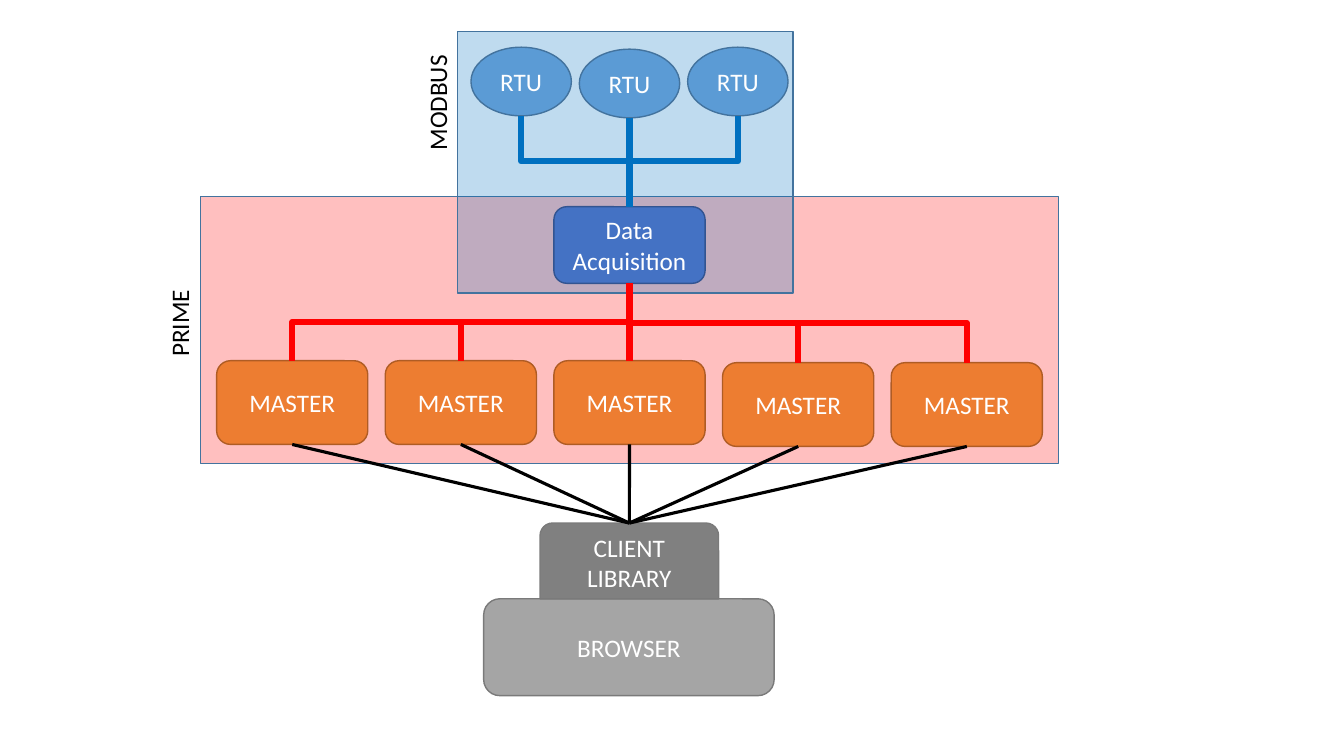
from lxml.etree import SubElement
from pptx import Presentation
from pptx.dml.color import RGBColor
from pptx.enum.shapes import MSO_CONNECTOR, MSO_SHAPE
from pptx.enum.text import MSO_ANCHOR, PP_ALIGN
from pptx.oxml.ns import qn
from pptx.util import Cm, Pt

WHITE = RGBColor(0xFF, 0xFF, 0xFF)
BLACK = RGBColor(0, 0, 0)
RED = RGBColor(0xFF, 0, 0)
BLUE = RGBColor(0, 0x70, 0xC0)
SKY = RGBColor(0x5B, 0x9B, 0xD5)
SKY_EDGE = RGBColor(0x43, 0x73, 0x9E)
ROYAL = RGBColor(0x44, 0x72, 0xC4)
ROYAL_EDGE = RGBColor(0x32, 0x54, 0x91)
ORANGE = RGBColor(0xED, 0x7D, 0x31)
ORANGE_EDGE = RGBColor(0xAF, 0x5C, 0x24)
GREY = RGBColor(0xA5, 0xA5, 0xA5)
DARK_GREY = RGBColor(0x80, 0x80, 0x80)
GREY_EDGE = RGBColor(0x7A, 0x7A, 0x7A)

# Content; places and sizes are centimetres: left, top, width, height
ZONES = [
    ("PRIME", (5.05, 4.95, 21.62, 6.73), RED, (2.72, 6.93, 3.6, 1.02)),
    ("MODBUS", (11.53, 0.79, 8.46, 6.6), BLUE, (9.22, 1.73, 3.6, 1.02)),
]
BROWSER = ("BROWSER", (12.19, 15.09, 7.32, 2.44))
CLIENT = ("CLIENT LIBRARY", (13.61, 13.18, 4.5, 1.91))
ACQUISITION = ("Data Acquisition", (13.96, 5.21, 3.81, 1.93))
MASTER_TOPS = [9.09, 9.09, 9.09, 9.14, 9.14]
MASTER_LEFT, MASTER_PITCH, MASTER_SIZE = 5.46, 4.25, (3.81, 2.11)
RTU_TOPS = [1.19, 1.24, 1.19]
RTU_LEFT, RTU_PITCH, RTU_SIZE = 11.87, 2.73, (2.53, 1.73)

# Connection site numbers of each preset outline
ROUND_TOP, ROUND_BOTTOM, ELLIPSE_BOTTOM, CLIENT_TOP = 0, 2, 4, 3

prs = Presentation()
prs.slide_width, prs.slide_height = Cm(33.87), Cm(19.05)
slide = prs.slides.add_slide(prs.slide_layouts[6])
shapes = slide.shapes


def write(frame, text, color, align):
    """Put one formatted paragraph into a text frame."""
    paragraph = frame.paragraphs[0]
    paragraph.alignment = align
    run = paragraph.add_run()
    run.text = text
    for key, value in {"name": "Calibri", "size": Pt(18)}.items():
        setattr(run.font, key, value)
    run.font.color.rgb = color


def add_block(preset, box, fill, edge, text=None):
    """Add a filled, outlined shape with optional centred white text."""
    block = shapes.add_shape(preset, *map(Cm, box))
    block.shadow.inherit = False
    block.fill.solid()
    block.fill.fore_color.rgb = fill
    block.line.color.rgb = edge
    block.line.width = Pt(1)
    if text:
        block.text_frame.word_wrap = True
        block.text_frame.vertical_anchor = MSO_ANCHOR.MIDDLE
        write(block.text_frame, text, WHITE, PP_ALIGN.CENTER)
    return block


def add_row(text, preset, left, pitch, size, tops, fill, edge):
    """Add equally spaced blocks, one for each given top."""
    return [add_block(preset, (left + i * pitch, top, *size), fill, edge, text)
            for i, top in enumerate(tops)]


def add_zone(box, color):
    """Add a quarter-opaque background area."""
    zone = add_block(MSO_SHAPE.RECTANGLE, box, color, SKY_EDGE)
    tint = zone.fill._xPr.find(qn("a:solidFill"))[0]
    SubElement(tint, qn("a:alpha"), val="25000")


def add_label(text, box):
    """Add a zone name that reads upwards."""
    label = shapes.add_textbox(*map(Cm, box))
    label.rotation = 270
    label.text_frame.word_wrap = True
    write(label.text_frame, text, BLACK, PP_ALIGN.LEFT)


def turn_upright(link, x1, y1, x2, y2):
    """Turn an elbow so that it leaves and arrives vertically."""
    run, drop = abs(x2 - x1), y2 - y1
    link.left, link.top = (x1 + x2 - drop) // 2, (y1 + y2 - run) // 2
    link.width, link.height = drop, run
    xfrm = link._element.spPr.find(qn("a:xfrm"))
    for flip in ("flipH", "flipV"):
        xfrm.attrib.pop(flip, None)
    rightward = x2 > x1
    xfrm.set("rot", str((270 if rightward else 90) * 60000))
    if rightward:
        xfrm.set("flipH", "1")


def add_link(kind, upper, upper_site, lower, lower_site, color, width):
    """Join the bottom of one block to the top of a lower one."""
    ends = (upper.left + upper.width // 2, upper.top + upper.height,
            lower.left + lower.width // 2, lower.top)
    link = shapes.add_connector(kind, *ends)
    if kind == MSO_CONNECTOR.ELBOW:
        turn_upright(link, *ends)
    link.line.color.rgb = color
    link.line.width = Pt(width)
    SubElement(link._element.spPr, qn("a:effectLst"))
    joints = link._element.find(qn("p:nvCxnSpPr")).find(qn("p:cNvCxnSpPr"))
    for tag, block, site in (("a:stCxn", upper, upper_site),
                             ("a:endCxn", lower, lower_site)):
        SubElement(joints, qn(tag), id=str(block.shape_id), idx=str(site))


for name, box, color, label_box in ZONES:
    add_zone(box, color)
for name, box, color, label_box in ZONES:
    add_label(name, label_box)

add_block(MSO_SHAPE.ROUNDED_RECTANGLE, BROWSER[1], GREY, GREY_EDGE, BROWSER[0])
client = add_block(MSO_SHAPE.ROUND_2_SAME_RECTANGLE, CLIENT[1],
                   DARK_GREY, GREY_EDGE, CLIENT[0])
masters = add_row("MASTER", MSO_SHAPE.ROUNDED_RECTANGLE, MASTER_LEFT,
                  MASTER_PITCH, MASTER_SIZE, MASTER_TOPS, ORANGE, ORANGE_EDGE)
acquisition = add_block(MSO_SHAPE.ROUNDED_RECTANGLE, ACQUISITION[1],
                        ROYAL, ROYAL_EDGE, ACQUISITION[0])
rtus = add_row("RTU", MSO_SHAPE.OVAL, RTU_LEFT, RTU_PITCH, RTU_SIZE,
               RTU_TOPS, SKY, SKY_EDGE)

for master in masters:
    add_link(MSO_CONNECTOR.ELBOW, acquisition, ROUND_BOTTOM,
             master, ROUND_TOP, RED, 4.5)
for rtu in rtus:
    add_link(MSO_CONNECTOR.ELBOW, rtu, ELLIPSE_BOTTOM,
             acquisition, ROUND_TOP, BLUE, 4.5)
for master in masters:
    add_link(MSO_CONNECTOR.STRAIGHT, master, ROUND_BOTTOM,
             client, CLIENT_TOP, BLACK, 2.25)

prs.save("out.pptx")
